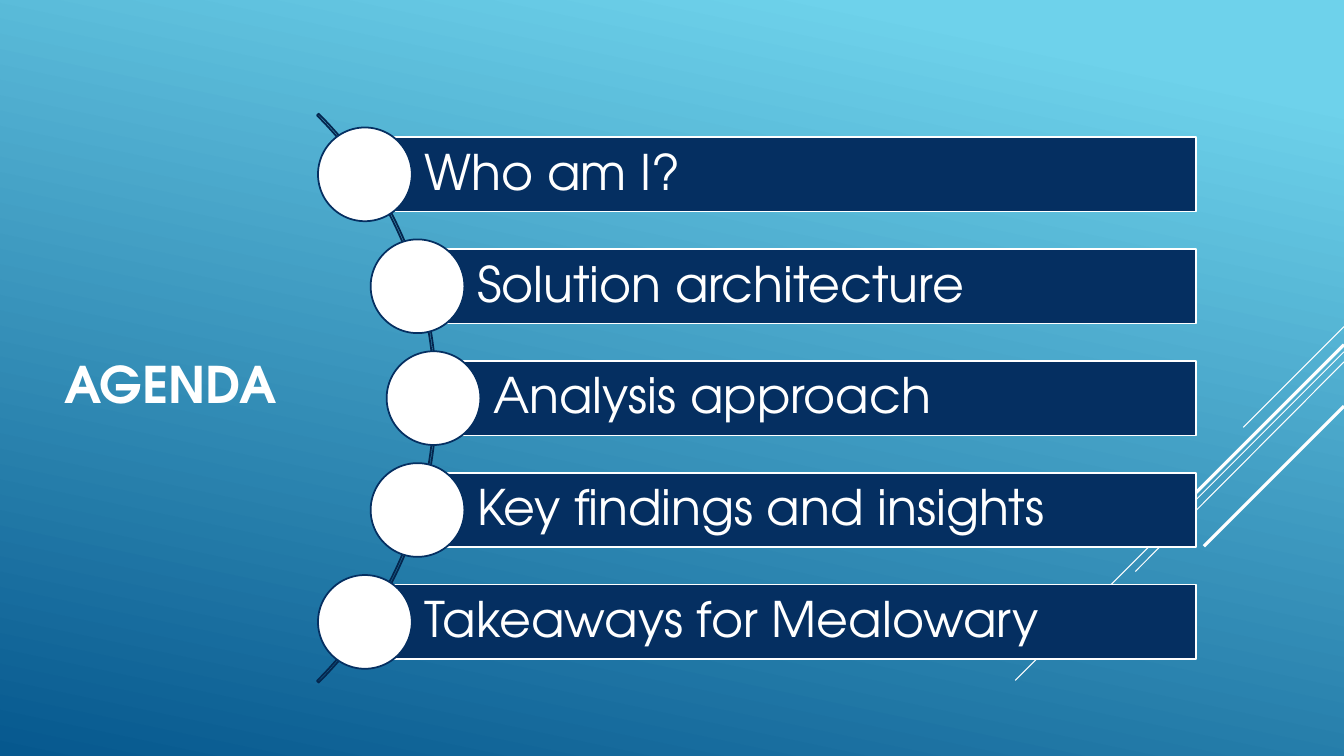
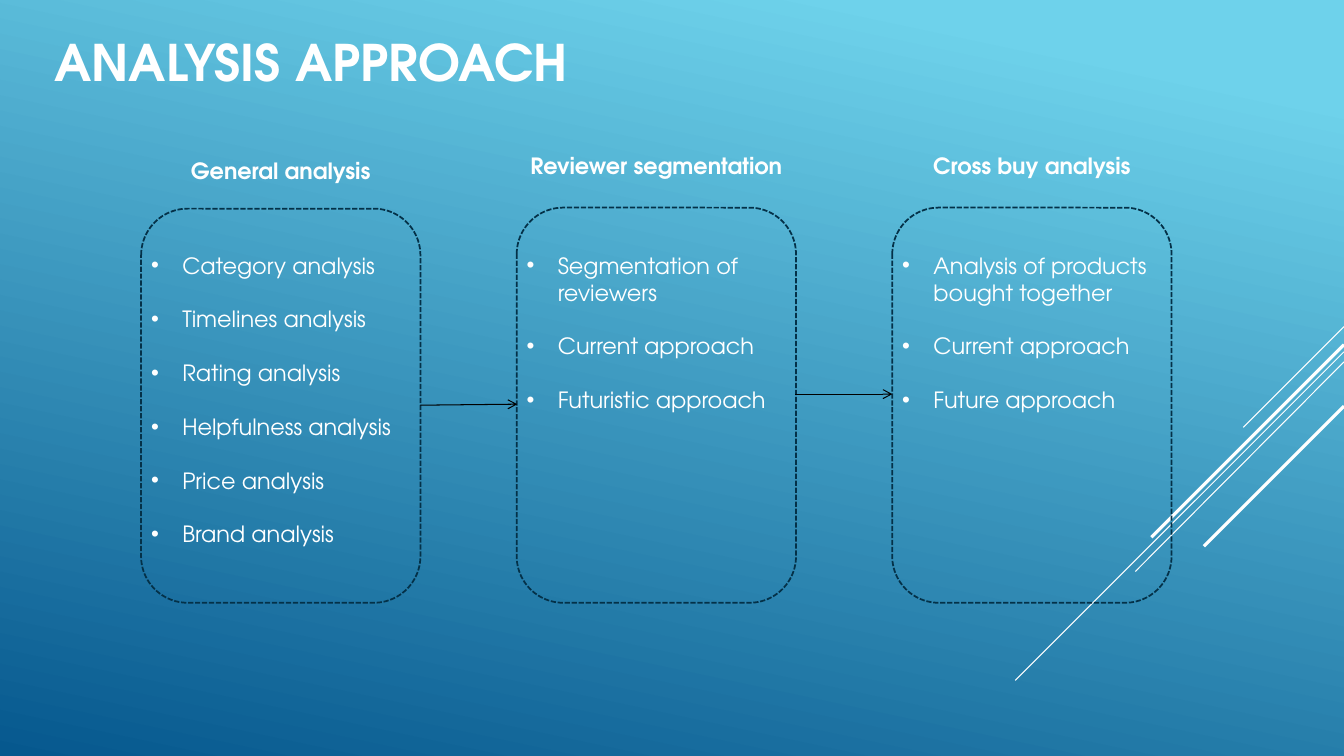
from dataclasses import dataclass
from math import sqrt

from lxml.etree import SubElement
from pptx import Presentation
from pptx.dml.color import RGBColor
from pptx.enum.dml import MSO_LINE_DASH_STYLE as Dash
from pptx.enum.shapes import MSO_CONNECTOR as Connector
from pptx.enum.shapes import MSO_SHAPE as Preset
from pptx.enum.text import MSO_ANCHOR as Anchor
from pptx.enum.text import PP_ALIGN as Align
from pptx.oxml.ns import qn
from pptx.util import Inches, Pt

FONT = "TeX Gyre Adventor"
WHITE = "FFFFFF"
BLACK = "000000"
NAVY = "052F61"
ARC_LINE = "04264E"
PANEL_LINE = "043148"
SKY = "6ED2EB"
DEEP_BLUE = "06588E"

SLIDE_WIDTH = 13.33
SLIDE_HEIGHT = 7.5

AGENDA_ITEMS = [
    "Who am I?",
    "Solution architecture",
    "Analysis approach",
    "Key findings and insights",
    "Takeaways for Mealowary",
]
ARC_CENTER_X = 0.34
ARC_CENTER_Y = 3.95
ARC_SIZE = 7.98
ITEM_RADIUS = 3.96
ITEM_PITCH = 1.11
BAR_RIGHT = 11.86
BAR_HEIGHT = 0.74
CIRCLE_SIZE = 0.93

PANEL_LEFT = 1.4
PANEL_PITCH = (8.85 - PANEL_LEFT) / 2
PANEL_WIDTH = 2.77
PANEL_BOTTOM = 5.98
HEADING_WIDTH = 2.87
BULLET_INDENT = 0.31


@dataclass
class Stroke:
    start: tuple[float, float]
    end: tuple[float, float]
    color: str = WHITE
    width: float = 0.75
    arrow: bool = False


@dataclass
class Panel:
    heading: str
    heading_top: float
    top: float
    bullets: list[str]


DIAGONALS = [
    Stroke((SLIDE_WIDTH, 3.24), (12.33, 4.24)),
    Stroke((SLIDE_WIDTH, 3.49), (10.07, 6.75)),
    Stroke((SLIDE_WIDTH, 3.59), (11.26, 5.67)),
    Stroke((SLIDE_WIDTH, 3.42), (11.42, 5.33), width=2.25),
    Stroke((SLIDE_WIDTH, 4.03), (11.94, 5.42), width=2.25),
]

PANELS = [
    Panel("General analysis", 1.51, 2.07, [
        "Category analysis",
        "Timelines analysis",
        "Rating analysis",
        "Helpfulness analysis",
        "Price analysis",
        "Brand analysis",
    ]),
    Panel("Reviewer segmentation", 1.46, 2.06, [
        "Segmentation of reviewers",
        "Current approach",
        "Futuristic approach",
    ]),
    Panel("Cross buy analysis", 1.46, 2.06, [
        "Analysis of products bought together",
        "Current approach",
        "Future approach",
    ]),
]

ARROWS = [
    Stroke((4.17, 4.02), (5.13, 4.01), BLACK, arrow=True),
    Stroke((7.89, 3.91), (8.85, 3.91), BLACK, arrow=True),
]


def rgb(color: str) -> RGBColor:
    return RGBColor.from_string(color)


def add_stroke(slide, stroke: Stroke):
    points = [Inches(value) for value in (*stroke.start, *stroke.end)]
    connector = slide.shapes.add_connector(Connector.STRAIGHT, *points)
    connector.line.color.rgb = rgb(stroke.color)
    connector.line.width = Pt(stroke.width)
    if stroke.arrow:
        line = connector.line._get_or_add_ln()
        SubElement(line, qn("a:tailEnd"), type="arrow")
    SubElement(connector._element.spPr, qn("a:effectLst"))


def add_preset(slide, preset, left: float, top: float, width: float, height: float, *,
               line: str, fill: str | None = None, dash=None):
    shape = slide.shapes.add_shape(
        preset, Inches(left), Inches(top), Inches(width), Inches(height))
    shape.shadow.inherit = False
    if fill:
        shape.fill.solid()
        shape.fill.fore_color.rgb = rgb(fill)
    else:
        shape.fill.background()
    shape.line.color.rgb = rgb(line)
    shape.line.width = Pt(1.25)
    if dash:
        shape.line.dash_style = dash
    return shape


def write(shape, lines: list[str], *, size: float, bold: bool = False, align=Align.LEFT,
          anchor=Anchor.TOP, left_inset: float = 0.1, line_spacing: float = 1.0,
          space_after: float = 0, bullet: bool = False):
    frame = shape.text_frame
    frame.word_wrap = True
    frame.vertical_anchor = anchor
    frame.margin_left = Inches(left_inset)
    for index, line in enumerate(lines):
        paragraph = frame.add_paragraph() if index else frame.paragraphs[0]
        paragraph.alignment = align
        paragraph.line_spacing = line_spacing
        paragraph.space_after = Pt(space_after)
        run = paragraph.add_run()
        run.text = line
        run.font.name = FONT
        run.font.size = Pt(size)
        run.font.bold = bold
        run.font.color.rgb = rgb(WHITE)
        if bullet:
            properties = paragraph._p.get_or_add_pPr()
            properties.set("marL", str(Inches(BULLET_INDENT)))
            properties.set("indent", str(-Inches(BULLET_INDENT)))
            SubElement(properties, qn("a:buFont"), typeface="Arial")
            SubElement(properties, qn("a:buChar"), char="•")


def add_text(slide, lines: list[str], left: float, top: float, width: float, height: float,
             **text_format):
    box = slide.shapes.add_textbox(Inches(left), Inches(top), Inches(width), Inches(height))
    write(box, lines, **text_format)


def add_title(slide, text: str, left: float, top: float, width: float, height: float):
    add_text(slide, [text], left, top, width, height, size=36, bold=True, anchor=Anchor.MIDDLE)


def add_themed_slide(presentation):
    slide = presentation.slides.add_slide(presentation.slide_layouts[6])
    fill = slide.background.fill
    fill.gradient()
    fill.gradient_angle = 360 - 102
    for stop, position, color in zip(fill.gradient_stops, (0.1, 1), (SKY, DEEP_BLUE)):
        stop.position = position
        stop.color.rgb = rgb(color)
    for diagonal in DIAGONALS:
        add_stroke(slide, diagonal)
    return slide


def add_agenda_item(slide, text: str, offset: float):
    center_x = ARC_CENTER_X + sqrt(ITEM_RADIUS ** 2 - offset ** 2)
    center_y = ARC_CENTER_Y + offset
    bar = add_preset(slide, Preset.RECTANGLE, center_x, center_y - BAR_HEIGHT / 2,
                     BAR_RIGHT - center_x, BAR_HEIGHT, line=WHITE, fill=NAVY)
    write(bar, [text], size=35, anchor=Anchor.MIDDLE, left_inset=0.59, line_spacing=0.9)
    add_preset(slide, Preset.OVAL, center_x - CIRCLE_SIZE / 2, center_y - CIRCLE_SIZE / 2,
               CIRCLE_SIZE, CIRCLE_SIZE, line=NAVY, fill=WHITE)


def build_agenda(presentation):
    slide = add_themed_slide(presentation)
    add_title(slide, "AGENDA", 0.54, 3.32, 2.66, 0.96)
    arc = add_preset(slide, Preset.BLOCK_ARC, ARC_CENTER_X - ARC_SIZE / 2,
                     ARC_CENTER_Y - ARC_SIZE / 2, ARC_SIZE, ARC_SIZE, line=ARC_LINE)
    for index, value in enumerate((189, 27, 0.003)):
        arc.adjustments[index] = value
    middle = len(AGENDA_ITEMS) // 2
    for index, item in enumerate(AGENDA_ITEMS):
        add_agenda_item(slide, item, (index - middle) * ITEM_PITCH)


def add_panel(slide, panel: Panel, left: float):
    heading_left = left + (PANEL_WIDTH - HEADING_WIDTH) / 2
    add_text(slide, [panel.heading], heading_left, panel.heading_top, HEADING_WIDTH, 0.37,
             size=16, bold=True, align=Align.CENTER)
    add_preset(slide, Preset.ROUNDED_RECTANGLE, left, panel.top, PANEL_WIDTH,
               PANEL_BOTTOM - panel.top, line=PANEL_LINE, dash=Dash.SQUARE_DOT)
    add_text(slide, panel.bullets, left, 2.45, PANEL_WIDTH, 3.06,
             size=16, space_after=19.2, bullet=True)


def build_approach(presentation):
    slide = add_themed_slide(presentation)
    add_title(slide, "ANALYSIS APPROACH", 0.44, 0.1, 10.75, 1.02)
    for index, panel in enumerate(PANELS):
        add_panel(slide, panel, PANEL_LEFT + index * PANEL_PITCH)
    for arrow in ARROWS:
        add_stroke(slide, arrow)


def main():
    presentation = Presentation()
    presentation.slide_width = Inches(SLIDE_WIDTH)
    presentation.slide_height = Inches(SLIDE_HEIGHT)
    build_agenda(presentation)
    build_approach(presentation)
    presentation.save("out.pptx")


if __name__ == "__main__":
    main()
